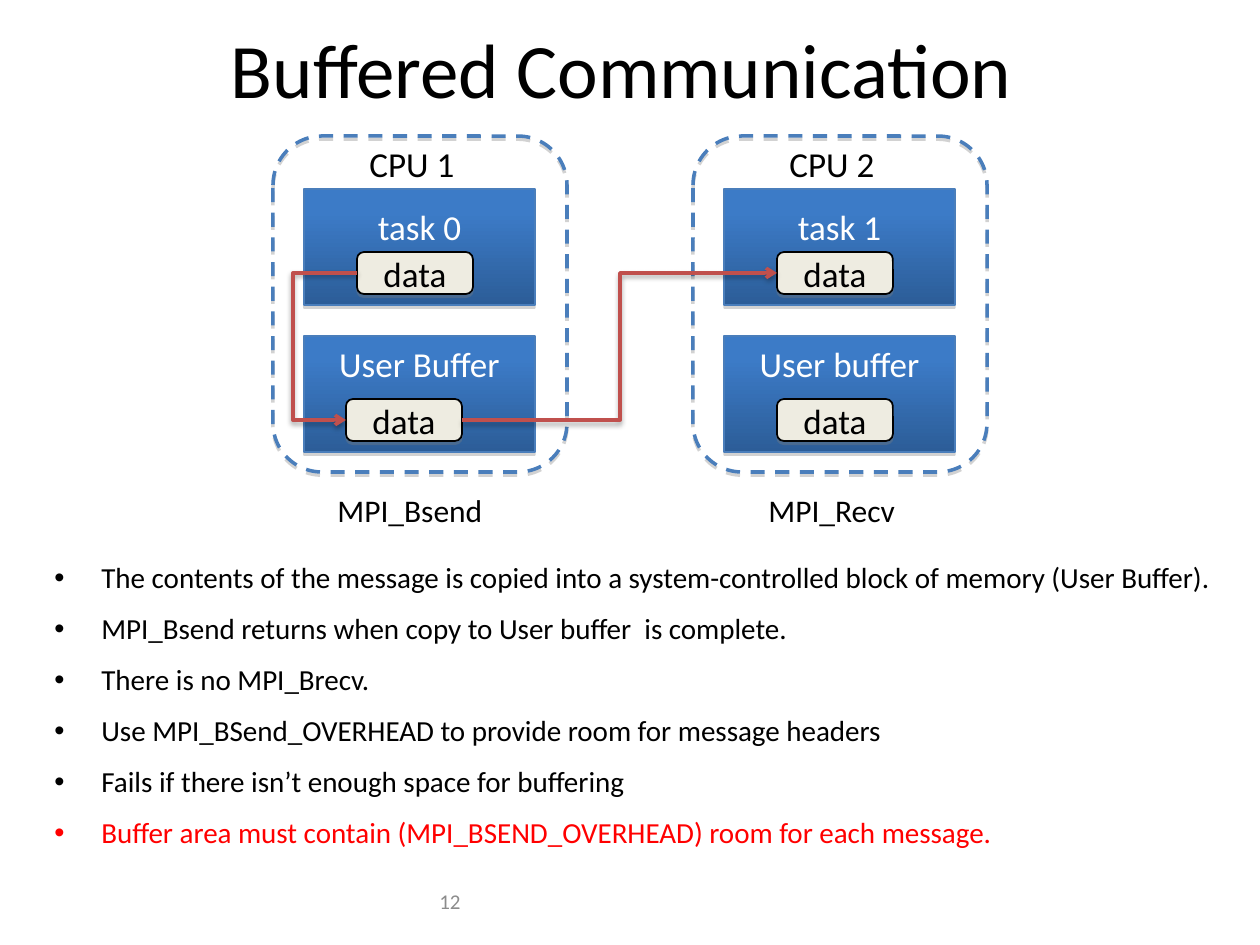
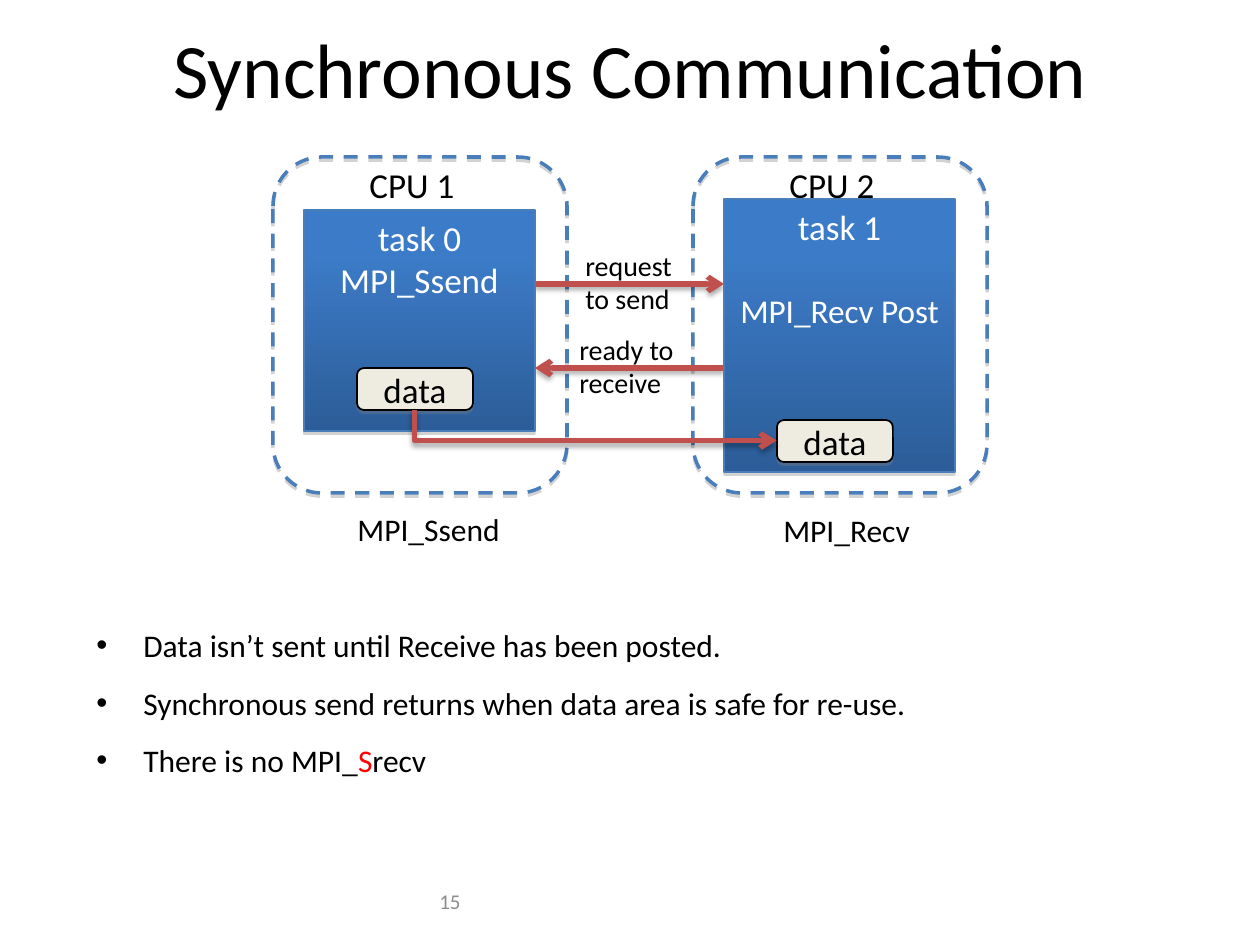
from lxml import etree
from pptx import Presentation
from pptx.dml.color import RGBColor
from pptx.enum.dml import MSO_LINE
from pptx.enum.shapes import MSO_CONNECTOR, MSO_SHAPE
from pptx.enum.text import MSO_ANCHOR, MSO_AUTO_SIZE, PP_ALIGN
from pptx.oxml import parse_xml
from pptx.oxml.ns import qn
from pptx.util import Pt

PX = 914400 // 126
FONT = "Calibri"
BLACK, WHITE, RED, GREY = "000000", "FFFFFF", "FF0000", "8C8C8C"
EDGE, ARROW, CREAM = "4A7EBB", "C0504D", "EEECE1"
GRADIENT = ((0.2, "3C7BC7"), (1, "2C5D98"))
RECT, ROUND = MSO_SHAPE.RECTANGLE, MSO_SHAPE.ROUNDED_RECTANGLE
STRAIGHT, ELBOW = MSO_CONNECTOR.STRAIGHT, MSO_CONNECTOR.ELBOW
LEFT, CENTER, RIGHT = PP_ALIGN.LEFT, PP_ALIGN.CENTER, PP_ALIGN.RIGHT
TOP, MIDDLE = MSO_ANCHOR.TOP, MSO_ANCHOR.MIDDLE

# kind: preset shape, line colour, line width, text size, text colour, alignment, anchor
STYLES = {
    "cpu": (ROUND, EDGE, 2, 20, BLACK, CENTER, MIDDLE),
    "task": (RECT, EDGE, 0.75, 20, WHITE, CENTER, TOP),
    "data": (ROUND, BLACK, 1, 20, BLACK, CENTER, MIDDLE),
    "title": (None, None, 0, 44, BLACK, CENTER, MIDDLE),
    "name": (None, None, 0, 20, BLACK, LEFT, TOP),
    "call": (None, None, 0, 18, BLACK, LEFT, TOP),
    "message": (None, None, 0, 16, BLACK, LEFT, TOP),
    "number": (None, None, 0, 12, GREY, RIGHT, MIDDLE),
}
SHADOW = (
    '<a:outerShdw xmlns:a="http://schemas.openxmlformats.org/drawingml/2006/main" '
    'blurRad="{}" dist="22860" dir="5400000" rotWithShape="0">'
    '<a:srgbClr val="{}"><a:alpha val="35000"/></a:srgbClr></a:outerShdw>'
)
rgb = RGBColor.from_string


def add_box(s, kind, left, top, width, height, text=""):
    """Add a shape or text box of one of the kinds in STYLES."""
    preset, edge, weight, size, colour, align, anchor = STYLES[kind]
    box = [v * PX for v in (left, top, width, height)]
    if preset is None:
        sp = s.shapes.add_textbox(*box)
    else:
        sp = s.shapes.add_shape(preset, *box)
        sp.line.color.rgb = rgb(edge)
        sp.line.width = Pt(weight)
        if kind == "cpu":
            sp.fill.background()
            sp.line.dash_style = MSO_LINE.DASH
        elif kind == "data":
            sp.fill.solid()
            sp.fill.fore_color.rgb = rgb(CREAM)
        else:
            sp.fill.gradient()
            sp.fill.gradient_angle = 270
            for stop, (position, shade) in zip(sp.fill.gradient_stops, GRADIENT):
                stop.position = position
                stop.color.rgb = rgb(shade)
        sp.shadow.inherit = False
        effects = sp._element.spPr.find(qn("a:effectLst"))
        effects.append(parse_xml(SHADOW.format(0, "808080")))
    tf = sp.text_frame
    tf.word_wrap = kind not in ("name", "call", "message")
    if not tf.word_wrap:
        tf.auto_size = MSO_AUTO_SIZE.SHAPE_TO_FIT_TEXT
    tf.vertical_anchor = anchor
    tf.text = text
    for p in tf.paragraphs:
        p.alignment = align
        for r in p.runs:
            r.font.name = FONT
            r.font.size = Pt(size)
            r.font.color.rgb = rgb(colour)
    return sp


def add_arrow(s, kind, x1, y1, x2, y2, weight, bend_x=None):
    """Add an arrow; an elbow turns at bend_x."""
    cxn = s.shapes.add_connector(kind, x1 * PX, y1 * PX, x2 * PX, y2 * PX)
    cxn.line.color.rgb = rgb(ARROW)
    cxn.line.width = Pt(weight)
    sp_pr = cxn._element.spPr
    etree.SubElement(sp_pr.find(qn("a:ln")), qn("a:tailEnd"), type="arrow")
    effects = etree.SubElement(sp_pr, qn("a:effectLst"))
    effects.append(parse_xml(SHADOW.format(39370, BLACK)))
    if bend_x is not None:
        share = round(100000 * (bend_x - x1) / (x2 - x1))
        guides = sp_pr.find(qn("a:prstGeom")).find(qn("a:avLst"))
        etree.SubElement(guides, qn("a:gd"), name="adj1", fmla=f"val {share}")
    return cxn


prs = Presentation()
prs.slide_width, prs.slide_height = 1260 * PX, 945 * PX

# What both slides share: title, two CPUs, bullets and slide number
CPU_GAP = 420
PAGES = (
    ("Buffered Communication ", "12", 136, (42, 557, 1218, 314), 16.6, 0.9, (
        (("The contents of the message is copied into a system-controlled "
          "block of memory (User Buffer).", BLACK),),
        (("MPI_Bsend returns when copy to User buffer  is complete.", BLACK),),
        (("There is no MPI_Brecv.", BLACK),),
        (("Use MPI_BSend_OVERHEAD to provide room for message headers", BLACK),),
        (("Fails if there isn’t enough space for buffering", BLACK),),
        (("Buffer area must contain (MPI_BSEND_OVERHEAD) room for each message.", RED),),
    )),
    ("Synchronous Communication", "15", 157, (84, 620, 1071, 231), 18, 1.0, (
        (("Data isn’t sent until Receive has been posted.", BLACK),),
        (("Synchronous send returns when data area is safe for re-use.", BLACK),),
        (("There is no MPI_", BLACK), ("S", RED), ("recv", BLACK)),
    )),
)
slides = []
for title, number, cpu_top, body, size, spacing, bullets in PAGES:
    s = prs.slides.add_slide(prs.slide_layouts[6])
    slides.append(s)
    add_box(s, "title", 95, 0, 1071, 136, title)
    add_box(s, "number", 179, 876, 294, 50, number)
    for i in range(2):
        add_box(s, "cpu", 273 + i * CPU_GAP, cpu_top, 294, 336)
        add_box(s, "name", 357 + i * CPU_GAP, cpu_top, 111, 55, f"CPU {i + 1}")
    tf = s.shapes.add_textbox(*[v * PX for v in body]).text_frame
    tf.word_wrap = True
    for i, parts in enumerate(bullets):
        p = tf.paragraphs[0] if i == 0 else tf.add_paragraph()
        p.line_spacing = spacing
        p.space_before = Pt(11.2)
        p_pr = p._p.get_or_add_pPr()
        p_pr.set("marL", str(47 * PX))
        p_pr.set("indent", str(-47 * PX))
        etree.SubElement(p_pr, qn("a:buFont"), typeface="Arial")
        etree.SubElement(p_pr, qn("a:buChar"), char="•")
        for text, colour in parts:
            r = p.add_run()
            r.text = text
            r.font.name = FONT
            r.font.size = Pt(size)
            r.font.color.rgb = rgb(colour)

# Buffered: data goes through the user buffer
s = slides[0]
for i, buffer_name in enumerate(("User Buffer", "User buffer")):
    x = 304 + i * CPU_GAP
    task = add_box(s, "task", x, 189, 231, 116, f"task {i}")
    task.text_frame.margin_top = 17 * PX
    add_box(s, "task", x, 336, 231, 116, buffer_name)
for x, y in ((357, 252), (777, 252), (777, 399), (346, 399)):
    add_box(s, "data", x, y, 116, 42, "data")
add_arrow(s, ELBOW, 357, 273, 346, 420, 2, 293)
add_arrow(s, ELBOW, 462, 420, 777, 273, 2, 620)
add_box(s, "call", 325, 485, 171, 50, "MPI_Bsend")
add_box(s, "call", 756, 485, 154, 50, "MPI_Recv")

# Synchronous: handshake first, then the data
s = slides[1]
add_arrow(s, STRAIGHT, 535, 284, 724, 284, 3)
add_arrow(s, STRAIGHT, 724, 368, 535, 368, 3)
add_box(s, "message", 573, 242, 120, 81, "request\nto send")
add_box(s, "message", 567, 326, 127, 81, "ready to\nreceive")
add_box(s, "task", 304, 210, 231, 221, "task 0\nMPI_Ssend")
receiver = add_box(s, "task", 724, 199, 231, 273, "task 1\nMPI_Recv Post")
post = receiver.text_frame.paragraphs[1]
post.space_before = Pt(24.4)
post.runs[0].font.size = Pt(19)
add_box(s, "data", 357, 368, 116, 42, "data")
add_box(s, "data", 777, 420, 116, 42, "data")
add_box(s, "call", 345, 504, 169, 50, "MPI_Ssend")
add_box(s, "call", 771, 505, 154, 50, "MPI_Recv")

# One-turn elbow, down then right: an upright box turned about its centre
cxn = add_arrow(s, ELBOW, 580, 244, 611, 606, 3)
cxn._element.spPr.find(qn("a:prstGeom")).set("prst", "bentConnector2")
xfrm = cxn._element.spPr.find(qn("a:xfrm"))
xfrm.set("rot", "16200000")
xfrm.set("flipH", "1")

prs.save("out.pptx")
